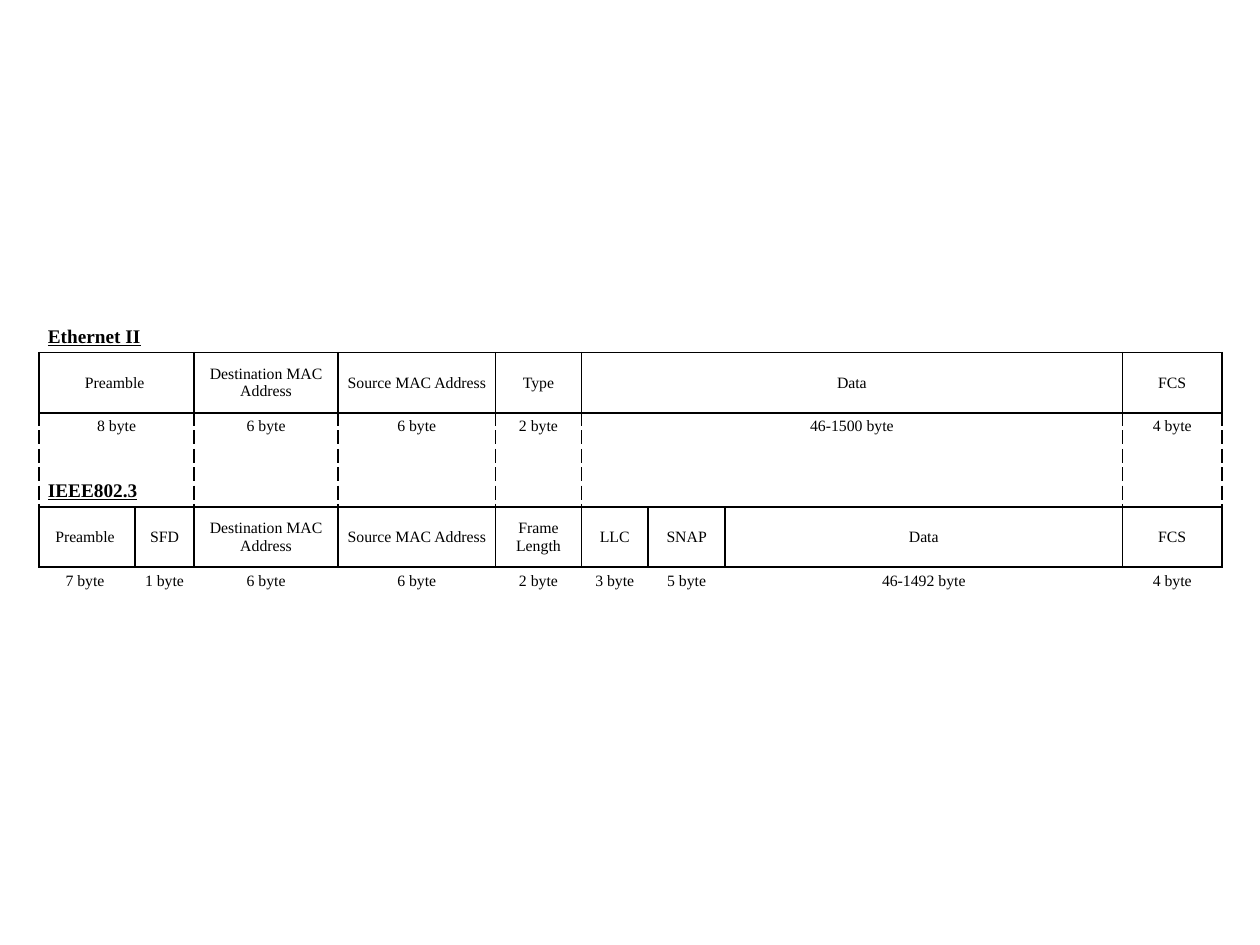
from lxml.etree import SubElement
from pptx import Presentation
from pptx.dml.color import RGBColor
from pptx.enum.text import MSO_ANCHOR as ANCHOR, PP_ALIGN as ALIGN
from pptx.oxml.ns import qn
from pptx.util import Inches, Pt

FONT = "Times New Roman"
BLACK = "000000"
COLS = [0.76, 0.47, 1.14, 1.25, 0.68, 0.53, 0.61, 3.15, 0.79]
ROWS = [0.48, 0.48, 0.27] * 2
SHARED_SPANS = [2, 1, 1, 1, 3, 1]
SINGLE_SPANS = [1] * len(COLS)
MAC = ["Destination MAC Address", "Source MAC Address"]
EDGES = {"l": "lnL", "r": "lnR", "t": "lnT", "b": "lnB"}

HEADING = dict(anchor=ANCHOR.BOTTOM, align=ALIGN.LEFT, size=11, strong=True)
FIELD = dict(anchor=ANCHOR.MIDDLE, align=ALIGN.CENTER, size=9, strong=False)
LENGTH = dict(FIELD, anchor=ANCHOR.TOP)

BOXED = dict.fromkeys("lrtb", "solid")
GUIDES = dict.fromkeys("lr", "sysDash")

FRAMES = [
    (HEADING, [9], {"b": "solid"}, ["Ethernet II"]),
    (FIELD, SHARED_SPANS, BOXED, ["Preamble ", *MAC, "Type", "Data", "FCS"]),
    (LENGTH, SHARED_SPANS, dict(GUIDES, t="solid"),
     ["8 byte", "6 byte", "6 byte", "2 byte", "46-1500 byte", "4 byte"]),
    (HEADING, SHARED_SPANS, dict(GUIDES, b="solid"), ["IEEE802.3"] + [""] * 5),
    (FIELD, SINGLE_SPANS, BOXED,
     ["Preamble ", "SFD", *MAC, "Frame Length", "LLC", "SNAP", "Data", "FCS"]),
    (LENGTH, SINGLE_SPANS, {"t": "solid"},
     ["7 byte ", "1 byte", "6 byte", "6 byte", "2 byte", "3 byte", "5 byte",
      "46-1492 byte", "4 byte"]),
]


def color(value):
    return RGBColor.from_string(value)


def set_borders(cell, borders):
    tcPr = cell._tc.get_or_add_tcPr()
    for edge, tag in EDGES.items():
        ln = SubElement(tcPr, qn("a:" + tag), w=str(Pt(1)))
        if edge in borders:
            fill = SubElement(ln, qn("a:solidFill"))
            SubElement(fill, qn("a:srgbClr"), val=BLACK)
            SubElement(ln, qn("a:prstDash"), val=borders[edge])
        else:
            SubElement(ln, qn("a:noFill"))
    cell.fill.background()


def set_text(cell, text, anchor, align, size, strong):
    cell.vertical_anchor = anchor
    cell.margin_left = cell.margin_right = Inches(0.07)
    cell.margin_top = cell.margin_bottom = Inches(0.04)
    p = cell.text_frame.paragraphs[0]
    p.text = text
    p.alignment = align
    p.font.size = Pt(size)
    for r in p.runs:
        r.font.name = FONT
        r.font.size = Pt(size)
        r.font.bold = r.font.underline = strong
        r.font.color.rgb = color(BLACK)


def fill_row(table, row, style, spans, borders, texts):
    col = 0
    for span, text in zip(spans, texts):
        last = col + span - 1
        cell = table.cell(row, col)
        if span > 1:
            cell.merge(table.cell(row, last))
        set_text(cell, text, **style)
        set_borders(cell, borders)
        for i in range(col + 1, last + 1):
            hidden = {"l"} if i == last else {"l", "r"}
            set_borders(table.cell(row, i),
                        {e: d for e, d in borders.items() if e not in hidden})
        col += span


def add_frame_table(s, left, top, width, height):
    table = s.shapes.add_table(len(ROWS), len(COLS), Inches(left), Inches(top),
                               Inches(width), Inches(height)).table
    table.first_row = table.horz_banding = False
    for column, share in zip(table.columns, COLS):
        column.width = Inches(width * share / sum(COLS))
    for row, share in zip(table.rows, ROWS):
        row.height = Inches(height * share / sum(ROWS))
    for i, frame in enumerate(FRAMES):
        fill_row(table, i, *frame)


prs = Presentation()
prs.slide_width, prs.slide_height = Inches(10), Inches(7.5)
s = prs.slides.add_slide(prs.slide_layouts[6])
add_frame_table(s, 0.31, 2.32, 9.39, 2.45)
prs.save("out.pptx")
